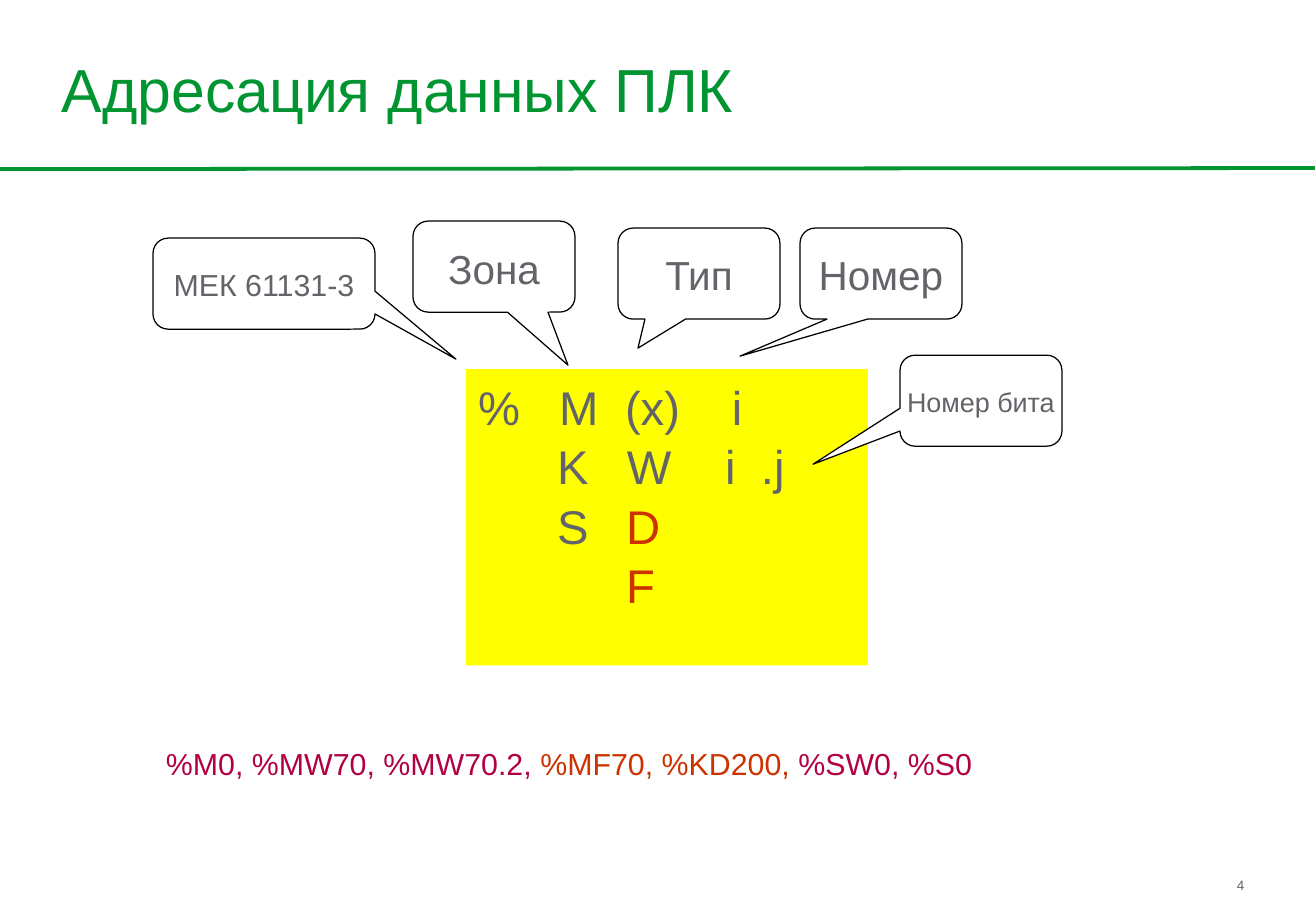
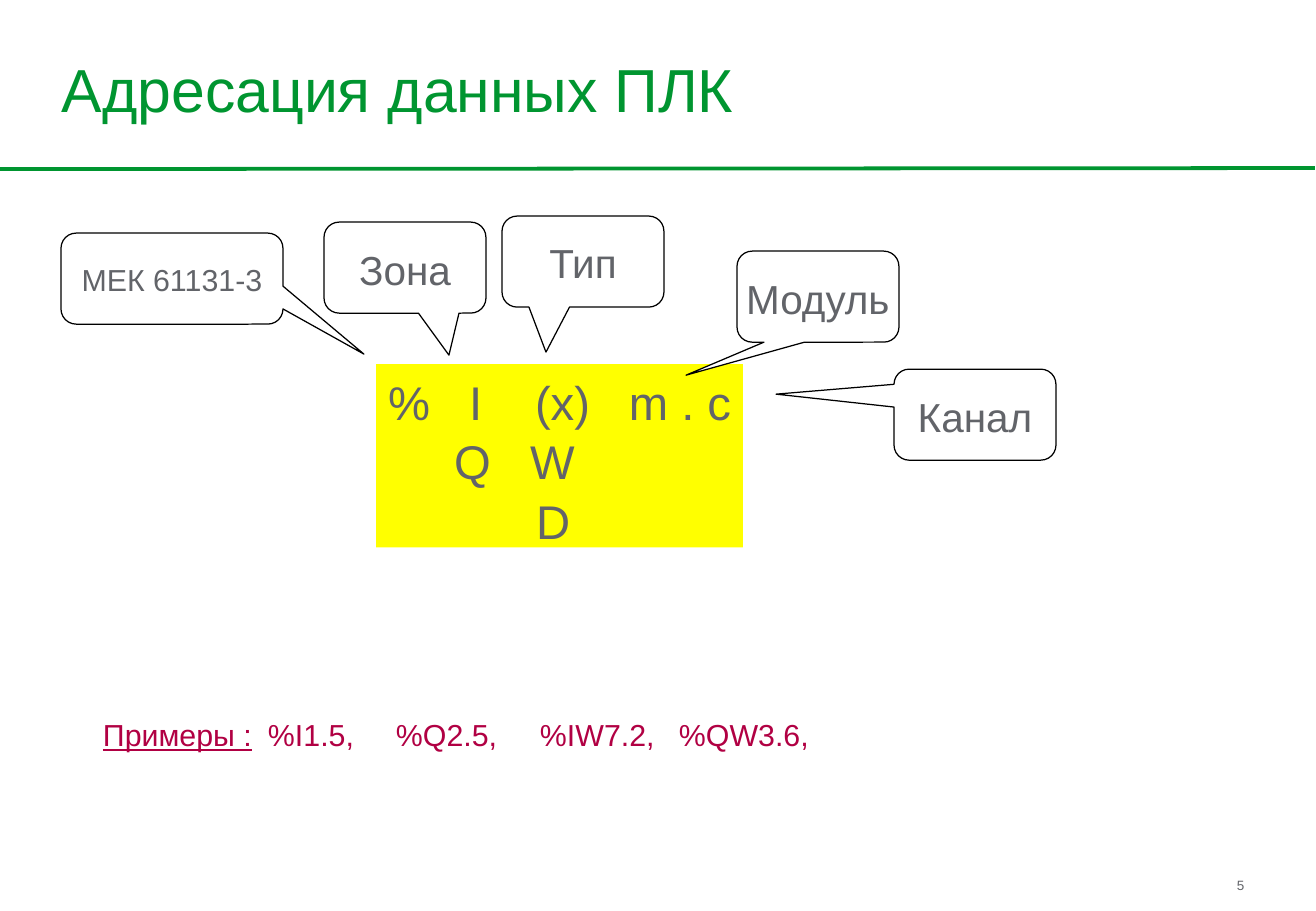
from dataclasses import dataclass

from lxml.etree import SubElement
from pptx import Presentation
from pptx.dml.color import RGBColor
from pptx.enum.shapes import MSO_CONNECTOR, MSO_SHAPE
from pptx.enum.text import MSO_ANCHOR, PP_ALIGN
from pptx.oxml.ns import qn
from pptx.util import Inches, Pt

PX = 914400 / 121.4


def px(n):
    return round(n * PX)


def apply(obj, values):
    for name, value in values.items():
        setattr(obj, name, value)


@dataclass(frozen=True)
class Theme:
    font: str = "Arial"
    green: RGBColor = RGBColor.from_string("009530")
    gray: RGBColor = RGBColor.from_string("626469")
    yellow: RGBColor = RGBColor.from_string("FFFF00")
    white: RGBColor = RGBColor.from_string("FFFFFF")
    black: RGBColor = RGBColor.from_string("000000")
    red: RGBColor = RGBColor.from_string("CC3300")
    crimson: RGBColor = RGBColor.from_string("B10043")
    title: int = 36
    table: int = 28
    label: int = 24
    body: int = 18
    small: int = 16
    number: int = 8
    spacing: float = 1.05
    rule: float = 2.24
    outline: float = 0.74


T = Theme()


class Deck:
    def __init__(self):
        self.prs = Presentation()
        apply(self.prs, {"slide_width": Inches(10.84), "slide_height": Inches(7.5)})
        self.slide = None

    def new_slide(self, title, number):
        self.slide = self.prs.slides.add_slide(self.prs.slide_layouts[6])
        self.text((1237, 876, 41, 10), [(number, T.gray)], T.number, (0, 0))
        self.rule(0, 169, 1315, 168)
        self.text((62, 10, 1191, 153), [(title, T.green)], T.title, (0, 1),
                  vertical_anchor=MSO_ANCHOR.MIDDLE)

    def rule(self, *ends):
        c = self.slide.shapes.add_connector(MSO_CONNECTOR.STRAIGHT, *map(px, ends))
        c.line.color.rgb = T.green
        c.line.width = Pt(T.rule)
        SubElement(c._element.spPr, qn("a:effectLst"))

    def frame(self, sp, margins=(12, 6), **values):
        mx, my = map(px, margins)
        tf = sp.text_frame
        apply(tf, {"margin_left": mx, "margin_right": mx, "margin_top": my,
                   "margin_bottom": my, "word_wrap": True,
                   "vertical_anchor": MSO_ANCHOR.TOP, **values})
        return tf

    def paragraph(self, p, runs, size, stops=(), align=PP_ALIGN.LEFT):
        apply(p, {"alignment": align, "line_spacing": T.spacing})
        if stops:
            tabs = SubElement(p._p.get_or_add_pPr(), qn("a:tabLst"))
            for stop in stops:
                SubElement(tabs, qn("a:tab"), pos=str(px(stop)), algn="l")
        for text, color, *underline in runs:
            r = p.add_run()
            r.text = text
            apply(r.font, {"name": T.font, "size": Pt(size),
                           "underline": bool(underline)})
            r.font.color.rgb = color

    def text(self, box, runs, size, margins=(12, 6), stops=(), **values):
        sp = self.slide.shapes.add_textbox(*map(px, box))
        tf = self.frame(sp, margins, **values)
        self.paragraph(tf.paragraphs[0], runs, size, stops)

    def shape(self, kind, box, fill):
        sp = self.slide.shapes.add_shape(kind, *map(px, box))
        sp.shadow.inherit = False
        sp.fill.solid()
        sp.fill.fore_color.rgb = fill
        return sp

    def address_table(self, box, rows):
        sp = self.shape(MSO_SHAPE.RECTANGLE, box, T.yellow)
        sp.line.fill.background()
        tf = self.frame(sp, margin_right=0)
        for i, row in enumerate(rows):
            p = tf.add_paragraph() if i else tf.paragraphs[0]
            runs = [("\t" + text if x else text, *(color or [T.gray]))
                    for x, text, *color in row]
            self.paragraph(p, runs, T.table, [x for x, *_ in row if x])

    def callout(self, text, box, tip, size=T.label):
        x, y, w, h = box
        sp = self.shape(MSO_SHAPE.ROUNDED_RECTANGULAR_CALLOUT, box, T.white)
        sp.adjustments[0] = (tip[0] - x - w / 2) / w
        sp.adjustments[1] = (tip[1] - y - h / 2) / h
        sp.line.color.rgb = T.black
        sp.line.width = Pt(T.outline)
        tf = self.frame(sp, word_wrap=False, vertical_anchor=MSO_ANCHOR.MIDDLE)
        self.paragraph(tf.paragraphs[0], [(text, T.gray)], size, align=PP_ALIGN.CENTER)

    def callouts(self, items):
        for text, x, y, tip, *size in items:
            width = 222 if text == STANDARD else 162
            self.callout(text, (x, y, width, 91), tip, *size)


TITLE = "Адресация данных ПЛК"
STANDARD = "МЕК 61131-3"

deck = Deck()

deck.new_slide(TITLE, "4")
deck.address_table((466, 369, 402, 296), [
    [(0, "%"), (81, "M"), (147, "(x)"), (254, "i")],
    [(79, "K"), (149, "W"), (247, "i"), (283, ".j")],
    [(79, "S"), (148, "D", T.red)],
    [(148, "F", T.red)],
])
deck.callouts([
    (STANDARD, 153, 238, (456, 359), T.body),
    ("Зона", 413, 221, (568, 365)),
    ("Тип", 618, 228, (638, 348)),
    ("Номер", 800, 228, (740, 356)),
    ("Номер бита", 900, 355, (813, 464), T.small),
])
deck.text((154, 737, 1022, 49), [
    ("%M0, %MW70, %MW70.2, ", T.crimson),
    ("%MF70, %KD200,", T.red),
    (" %SW0, %S0", T.crimson),
], T.body)

deck.new_slide(TITLE, "5")
deck.address_table((376, 364, 367, 183), [
    [(0, "%"), (81, "I"), (147, "(x)"), (241, "m . c")],
    [(66, "Q"), (142, "W")],
    [(148, "D")],
])
deck.callouts([
    (STANDARD, 61, 233, (364, 354), T.body),
    ("Зона", 324, 222, (449, 355)),
    ("Тип", 502, 216, (546, 352)),
    ("Канал", 894, 369, (776, 394)),
    ("Модуль", 737, 251, (686, 375)),
])
deck.text((91, 708, 946, 85), [
    ("Примеры :", T.crimson, True),
    ("\t%I1.5,\t%Q2.5,\t%IW7.2,\t%QW3.6,", T.crimson),
], T.body, stops=(165, 293, 437, 576))

deck.prs.save("out.pptx")
